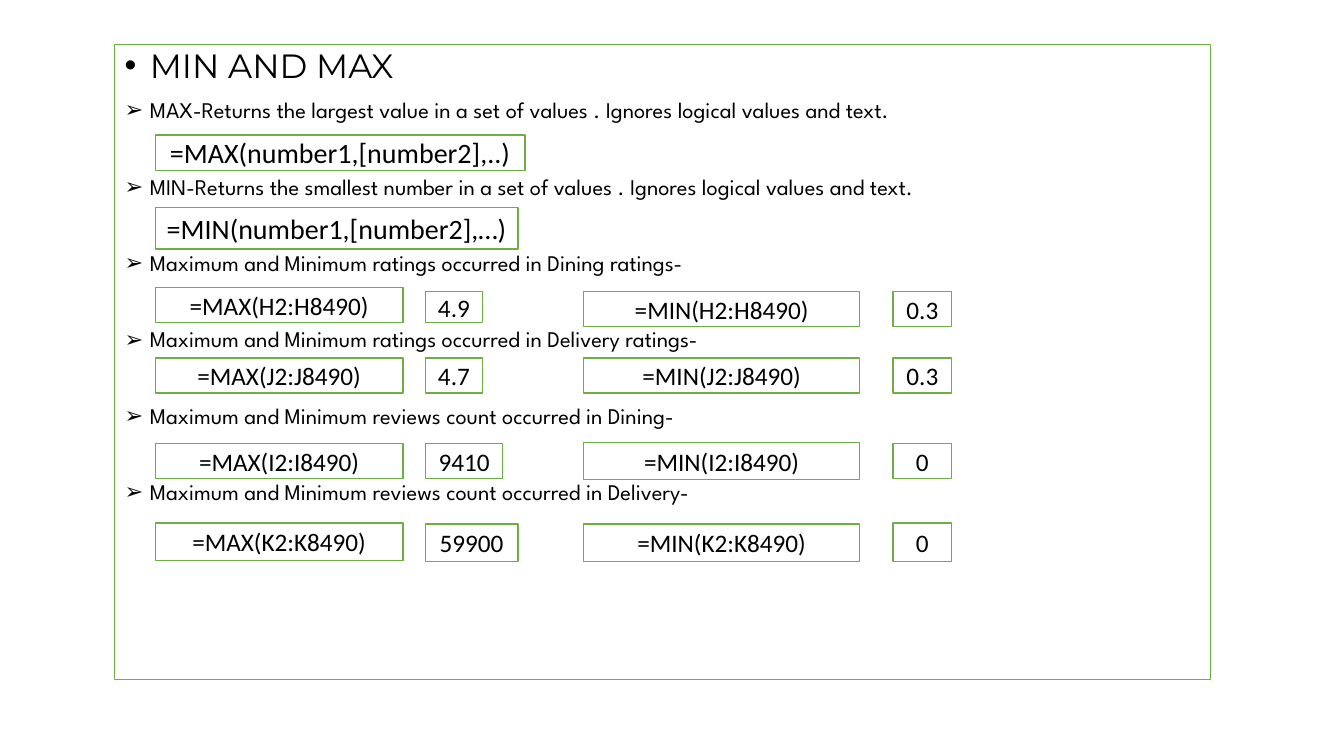
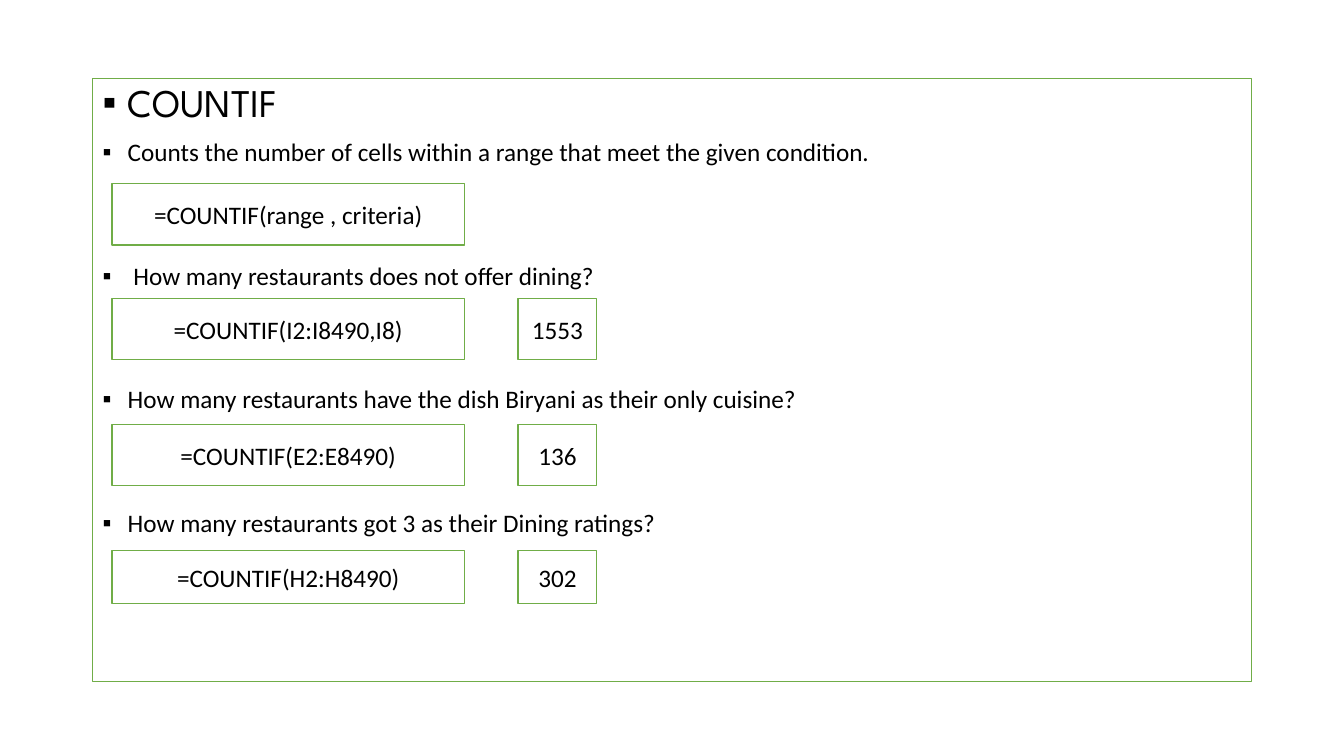
from lxml.etree import SubElement
from pptx import Presentation
from pptx.dml.color import RGBColor
from pptx.enum.shapes import MSO_SHAPE
from pptx.enum.text import MSO_ANCHOR, PP_ALIGN
from pptx.oxml.ns import qn
from pptx.util import Pt

WHITE = RGBColor(0xFF, 0xFF, 0xFF)
GREEN = RGBColor(0x70, 0xAD, 0x47)
BLACK = RGBColor(0x00, 0x00, 0x00)

# Text formats: name and size per role
CODE = {"name": "Calibri", "size": Pt(18)}
LARGE = {"name": "Calibri", "size": Pt(20)}
HEAD1 = {"name": "Montserrat", "size": Pt(24)}
HEAD2 = {"name": "League Spartan", "size": Pt(28)}
BODY1 = {"name": "League Spartan", "size": Pt(16)}
BODY2 = CODE


def add_box(slide, left, top, width, height, text="", form=CODE):
    """Add a white box with a green edge and centred text."""
    box = slide.shapes.add_shape(MSO_SHAPE.RECTANGLE, Pt(left), Pt(top), Pt(width), Pt(height))
    box.shadow.inherit = False
    box.fill.solid()
    box.fill.fore_color.rgb = WHITE
    box.line.color.rgb = GREEN
    box.line.width = Pt(1)
    frame = box.text_frame
    frame.word_wrap = True
    frame.vertical_anchor = MSO_ANCHOR.MIDDLE
    if text:
        para = frame.paragraphs[0]
        para.alignment = PP_ALIGN.CENTER
        add_run(para, text, form)
    return frame


def add_run(para, text, form):
    """Add black text in the given format."""
    run = para.add_run()
    run.text = text
    run.font.color.rgb = BLACK
    for key, value in form.items():
        setattr(run.font, key, value)


deck = Presentation()
deck.slide_width, deck.slide_height = Pt(960), Pt(540)

# Panels: area, gap before later points, then the bulleted lines
panels = [
    ((82, 31.6, 782.6, 453.6), 37.3, HEAD1, BODY1, "•", "➢", [
        "MIN AND MAX",
        "MAX-Returns the largest value in a set of values . Ignores logical values and text.",
        "MIN-Returns the smallest number in a set of values . Ignores logical values and text.",
        "Maximum and Minimum ratings occurred in Dining ratings-",
        "Maximum and Minimum ratings occurred in Delivery ratings-",
        "Maximum and Minimum reviews count occurred in Dining-",
        "Maximum and Minimum reviews count occurred in Delivery-",
    ]),
    ((66.2, 56, 828, 430.6), 68.8, HEAD2, BODY2, "▪", "▪", [
        "COUNTIF",
        "Counts the number of cells within a range that meet the given condition.",
        " How many restaurants does not offer dining?",
        "How many restaurants have the dish Biryani as their only cuisine?",
        "How many restaurants got 3 as their Dining ratings?",
    ]),
]
slides = []
for area, gap, head, body, first, mark, lines in panels:
    slide = deck.slides.add_slide(deck.slide_layouts[6])
    slides.append(slide)
    frame = add_box(slide, *area)
    frame.vertical_anchor = MSO_ANCHOR.TOP
    for i, line in enumerate(lines):
        para = frame.add_paragraph() if i else frame.paragraphs[0]
        para.alignment = PP_ALIGN.LEFT
        para.line_spacing = 0.9
        para.space_before = Pt(gap if i > 1 else 10)
        props = para._p.get_or_add_pPr()
        props.set("marL", str(Pt(18)))
        props.set("indent", str(Pt(-18)))
        SubElement(props, qn("a:buFont")).set("typeface", "Arial")
        SubElement(props, qn("a:buChar")).set("char", mark if i else first)
        add_run(para, line, body if i else head)

# Slide 1: syntax boxes
minmax, count = slides
add_box(minmax, 110.9, 96.5, 264.2, 25.2, "=MAX(number1,[number2],..)", LARGE)
add_box(minmax, 110.9, 148.3, 259.2, 29.5, "=MIN(number1,[number2],…)", LARGE)

# Slide 1: formula and result, largest then smallest
rows = [
    ("H", "4.9", "0.3", 41, (205.2, 208.1, 208.1, 208.1), (25.2, 22.3, 25.2, 25.2)),
    ("J", "4.7", "0.3", 41, (255.6,) * 4, (25.2,) * 4),
    ("I", "9410", "0", 55.4, (316.8, 316.8, 316.1, 316.8), (25.2, 25.2, 26.6, 25.2)),
    ("K", "59900", "0", 66.2, (373.7, 374.4, 374.4, 373.7), (26.6, 26.6, 26.6, 27.4)),
]
lefts = (110.9, 303.8, 416.9, 637.9)
for col, high, low, wide, tops, talls in rows:
    texts = (f"=MAX({col}2:{col}8490)", high, f"=MIN({col}2:{col}8490)", low)
    widths = (177.1, wide, 197.3, 41.8)
    for cell in zip(lefts, tops, widths, talls, texts):
        add_box(minmax, *cell)

# Slide 2: syntax box, then formula and result
add_box(count, 79.9, 131, 252, 43.9, "=COUNTIF(range , criteria)")
tests = [("I2:I8490,I8", "1553", 43.9), ("E2:E8490", "136", 43.9), ("H2:H8490", "302", 38.2)]
for i, (cells, total, tall) in enumerate(tests):
    top = 213.1 + 90 * i
    add_box(count, 79.9, top, 252, tall, f"=COUNTIF({cells})")
    add_box(count, 370.1, top, 56.2, tall, total)

deck.save("out.pptx")
